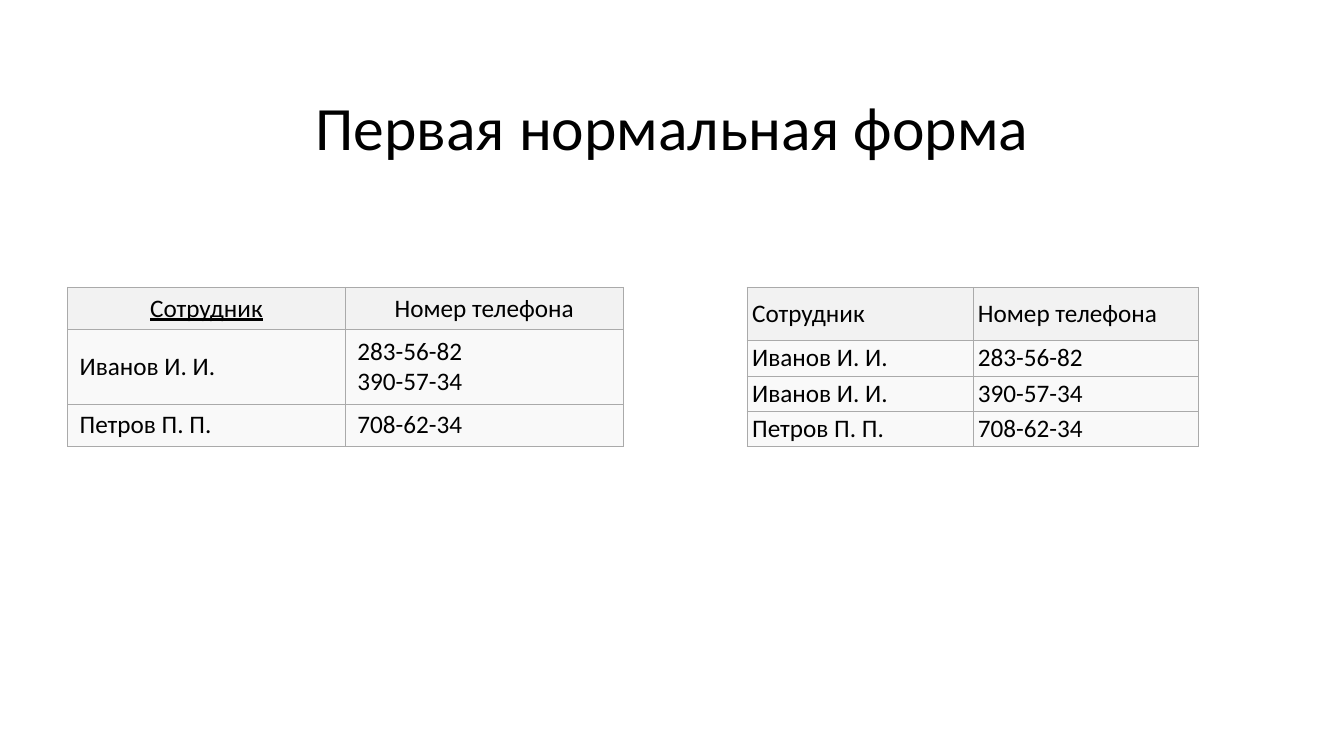
from lxml.etree import SubElement
from pptx import Presentation
from pptx.dml.color import RGBColor
from pptx.enum.text import MSO_ANCHOR, PP_ALIGN
from pptx.oxml.ns import qn
from pptx.util import Inches, Pt

COLORS = {"text": "000000", "header": "F2F2F2", "body": "F9F9F9", "border": "AAAAAA"}


class SlideBuilder:
    font = "Calibri"
    border_width = Pt(0.6)

    def __init__(self, prs):
        self.slide = prs.slides.add_slide(prs.slide_layouts[5])

    def format_text(self, p, align=PP_ALIGN.LEFT, **values):
        p.alignment = align
        for r in p.runs:
            for name, value in {"name": self.font, "bold": False, **values}.items():
                setattr(r.font, name, value)
            r.font.color.rgb = RGBColor.from_string(COLORS["text"])

    def title(self, text, left, top, width, height):
        sp = self.slide.shapes.title
        place = {"left": left, "top": top, "width": width, "height": height}
        for name, value in place.items():
            setattr(sp, name, Inches(value))
        tf = sp.text_frame
        tf.text = text
        tf.word_wrap = True
        tf.vertical_anchor = MSO_ANCHOR.MIDDLE
        self.format_text(tf.paragraphs[0], PP_ALIGN.CENTER, size=Pt(44))

    def borders(self, cell):
        tcPr = cell._tc.get_or_add_tcPr()
        for side in ("a:lnL", "a:lnR", "a:lnT", "a:lnB"):
            ln = SubElement(tcPr, qn(side), w=str(self.border_width))
            fill = SubElement(ln, qn("a:solidFill"))
            SubElement(fill, qn("a:srgbClr"), val=COLORS["border"])

    def table(self, rows, left, top, col_width, heights, margins,
              header_align=PP_ALIGN.LEFT, underlined=()):
        cols = len(rows[0])
        table = self.slide.shapes.add_table(
            len(rows), cols, Inches(left), Inches(top),
            Inches(col_width * cols), Inches(sum(heights))).table
        table.first_row = table.horz_banding = False
        for column in table.columns:
            column.width = Inches(col_width)
        margin_x, margin_y = (Inches(m) for m in margins)
        cell_format = {
            "margin_left": margin_x, "margin_right": margin_x,
            "margin_top": margin_y, "margin_bottom": margin_y,
            "vertical_anchor": MSO_ANCHOR.MIDDLE,
        }
        for i, (row, height) in enumerate(zip(rows, heights)):
            table.rows[i].height = Inches(height)
            for j, text in enumerate(row):
                cell = table.cell(i, j)
                for name, value in cell_format.items():
                    setattr(cell, name, value)
                self.borders(cell)
                cell.fill.solid()
                color = COLORS["body" if i else "header"]
                cell.fill.fore_color.rgb = RGBColor.from_string(color)
                p = cell.text_frame.paragraphs[0]
                p.text = text
                self.format_text(p, PP_ALIGN.LEFT if i else header_align,
                                 size=Pt(18), underline=(i, j) in underlined)


def main():
    prs = Presentation()
    prs.slide_width, prs.slide_height = Inches(13.33), Inches(7.5)
    s = SlideBuilder(prs)
    s.title("Первая нормальная форма", 0.67, 0.62, 12, 1.25)

    header = ("Сотрудник", "Номер телефона")
    ivanov, petrov = "Иванов И. И.", "Петров П. П."

    # Several phone numbers in one cell
    s.table([header, (ivanov, "283-56-82\v390-57-34"), (petrov, "708-62-34")],
            0.67, 2.85, 2.755, [0.42, 0.74, 0.42], (0.12, 0.05),
            header_align=PP_ALIGN.CENTER, underlined={(0, 0)})

    # First normal form: one number per row
    s.table([header, (ivanov, "283-56-82"), (ivanov, "390-57-34"),
             (petrov, "708-62-34")],
            7.41, 2.85, 2.24, [0.53] + [0.35] * 3, (0.05, 0.02))

    prs.save("out.pptx")


if __name__ == "__main__":
    main()
